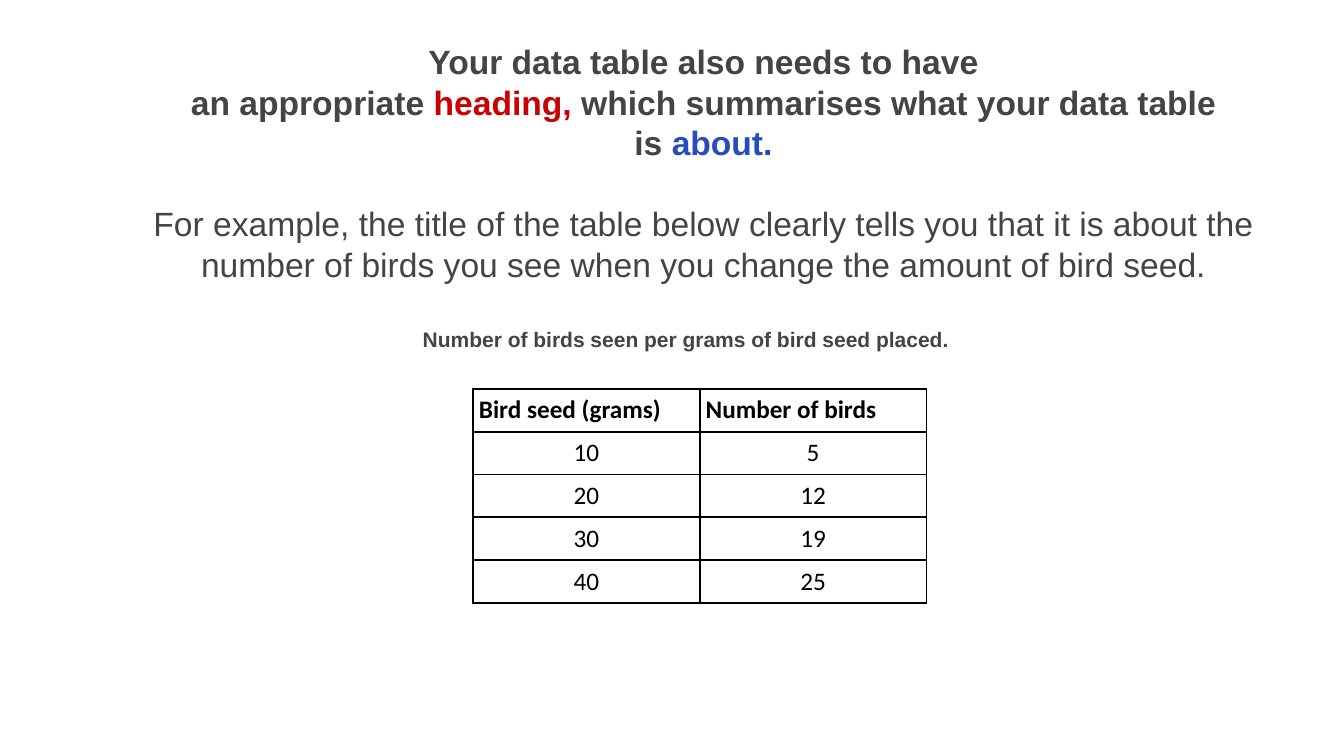
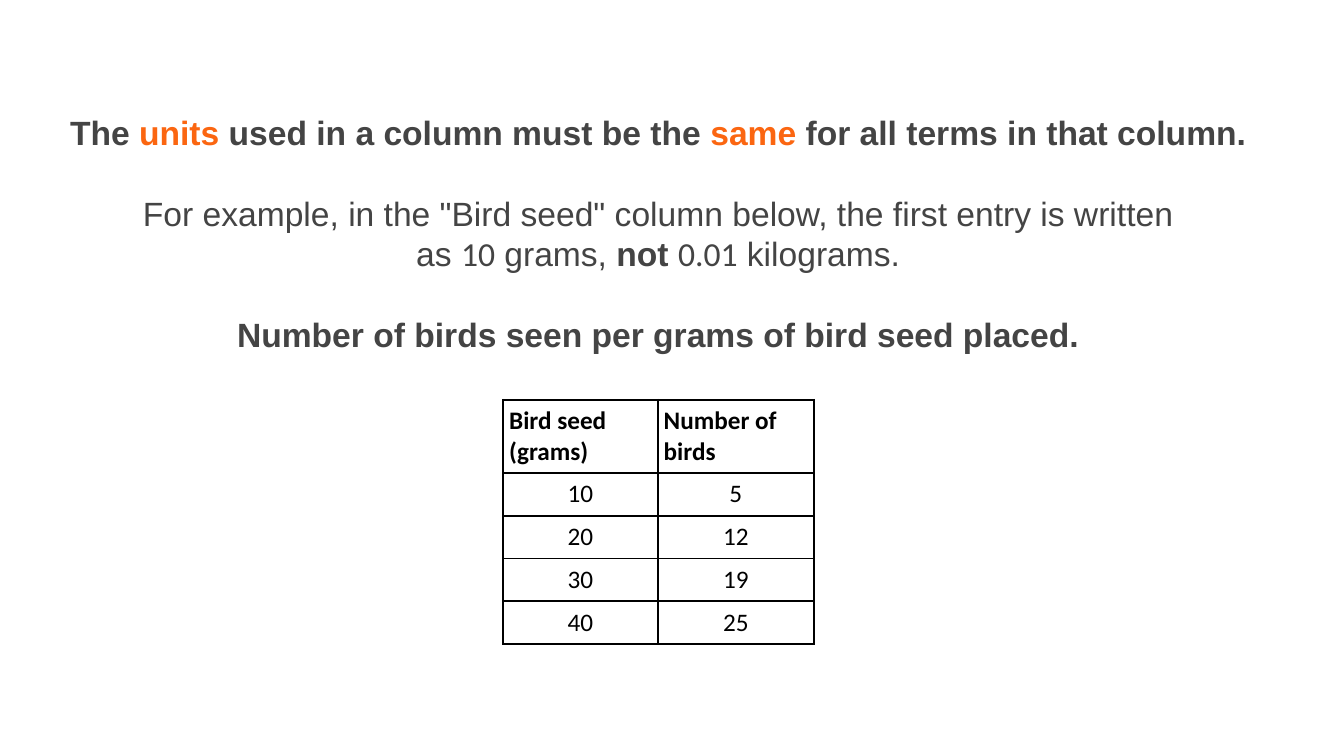
"""Build two slides about headings and units in data tables."""
from lxml import etree
from pptx import Presentation
from pptx import util as u
from pptx.dml.color import RGBColor
from pptx.enum import text
from pptx.oxml.ns import qn

COLUMN = u.Inches(13.333 / 16)
ROW = u.Inches(7.5 / 9)

GREY = RGBColor(0x44, 0x44, 0x44)
RED = RGBColor(0xCC, 0x00, 0x00)
BLUE = RGBColor(0x25, 0x4D, 0xBC)
ORANGE = RGBColor(0xFB, 0x66, 0x11)
BLACK = RGBColor(0x00, 0x00, 0x00)
WHITE = RGBColor(0xFF, 0xFF, 0xFF)

BODY_FONT, TABLE_FONT = "Arial", "Calibri"
LINE_PITCH = u.Pt(28.9)
CELL_MARGIN = u.Inches(0.06)
UNBROKEN = str.maketrans("~", chr(160))

CAPTION = "Number of birds seen per grams of bird seed placed."
READINGS = [
    ("Bird seed (grams)", "Number of birds"),
    (10, 5),
    (20, 12),
    (30, 19),
    (40, 25),
]


def write(paragraph, words, size=24, font=BODY_FONT, color=GREY, bold=False):
    """Add words as one run; a tilde stands for a non-breaking space."""
    run = paragraph.add_run()
    run.text = str(words).translate(UNBROKEN)
    run.font.size = u.Pt(size)
    run.font.name = font
    run.font.color.rgb = color
    run.font.bold = bold


def add_text(slide, left, top, width, height, paragraphs, pitch=None,
             anchor=text.MSO_ANCHOR.TOP):
    """Add centred paragraphs, each a list of (words, format) runs, one line apart."""
    frame = slide.shapes.add_textbox(
        int(left * COLUMN), int(top * ROW), int(width * COLUMN), int(height * ROW)
    ).text_frame
    frame.word_wrap = True
    frame.vertical_anchor = anchor
    for index, runs in enumerate(paragraphs):
        paragraph = frame.add_paragraph() if index else frame.paragraphs[0]
        paragraph.alignment = text.PP_ALIGN.CENTER
        if pitch:
            paragraph.line_spacing = pitch
        if index:
            paragraph.space_before = pitch
        for words, style in runs:
            write(paragraph, words, **style)


def outline(cell):
    """Draw a black border on every side of a cell."""
    properties = cell._tc.get_or_add_tcPr()
    for side in ("a:lnL", "a:lnR", "a:lnT", "a:lnB"):
        line = etree.SubElement(properties, qn(side), w=str(u.Pt(1.5)))
        fill = etree.SubElement(line, qn("a:solidFill"))
        etree.SubElement(fill, qn("a:srgbClr"), val=str(BLACK))


def add_readings(slide, left, top, widths, header_height, row_height=0.51):
    """Add the bird seed table with a bold left-aligned header."""
    heights = [header_height] + [row_height] * (len(READINGS) - 1)
    table = slide.shapes.add_table(
        len(heights), len(widths), int(left * COLUMN), int(top * ROW),
        int(sum(widths) * COLUMN), int(sum(heights) * ROW),
    ).table
    table.horz_banding = table.first_row = False
    for column, width in zip(table.columns, widths):
        column.width = int(width * COLUMN)
    for index, (row, height) in enumerate(zip(table.rows, heights)):
        row.height = int(height * ROW)
        for cell, value in zip(row.cells, READINGS[index]):
            outline(cell)
            cell.fill.solid()
            cell.fill.fore_color.rgb = WHITE
            cell.margin_left = cell.margin_right = CELL_MARGIN
            cell.margin_top = cell.margin_bottom = CELL_MARGIN
            cell.vertical_anchor = text.MSO_ANCHOR.MIDDLE
            paragraph = cell.text_frame.paragraphs[0]
            paragraph.alignment = text.PP_ALIGN.CENTER if index else text.PP_ALIGN.LEFT
            write(paragraph, value, size=18, font=TABLE_FONT, color=BLACK, bold=index == 0)


def build_heading_slide(slide):
    """Explain that a data table needs a heading."""
    strong = {"bold": True}
    add_text(slide, 1.54, 0.43, 13.67, 3.02, [
        [("Your data table also needs to have an~appropriate~", strong),
         ("heading,", {"bold": True, "color": RED}),
         ("~which~summarises~what your data table is~", strong),
         ("about.", {"bold": True, "color": BLUE})],
        [("For example, the title of the table below clearly tells you that it is "
          "about the number of birds you see when you change the amount of bird seed.", {})],
    ], pitch=LINE_PITCH)
    add_readings(slide, 5.63, 4.63, (2.7, 2.7), header_height=0.51)
    add_text(slide, 0.33, 3.74, 15.67, 0.6, [[(CAPTION, {"size": 15, "bold": True})]],
             anchor=text.MSO_ANCHOR.MIDDLE)


def build_units_slide(slide):
    """Explain that a column keeps to one unit."""
    strong = {"bold": True}
    accent = {"bold": True, "color": ORANGE}
    number = {"font": TABLE_FONT}
    add_text(slide, 0, 1.27, 15.67, 3.02, [
        [("The~", strong), ("units", accent),
         ("~used in a column must be the~", strong), ("same", accent),
         ("~for all~terms~in that column.", strong)],
        [('For example, in the "Bird seed" column below, the first entry is written as~', {}),
         ("10", number), ("~grams,~", {}), ("not~", strong),
         ("0.01", number), ("~kilograms.", {})],
        [(CAPTION, strong)],
    ], pitch=LINE_PITCH)
    add_readings(slide, 5.99, 4.76, (1.84, 1.86), header_height=0.87)


def main():
    """Build and save the presentation."""
    deck = Presentation()
    deck.slide_width, deck.slide_height = 16 * COLUMN, 9 * ROW
    blank = deck.slide_layouts[6]
    for build in (build_heading_slide, build_units_slide):
        build(deck.slides.add_slide(blank))
    deck.save("out.pptx")


if __name__ == "__main__":
    main()
